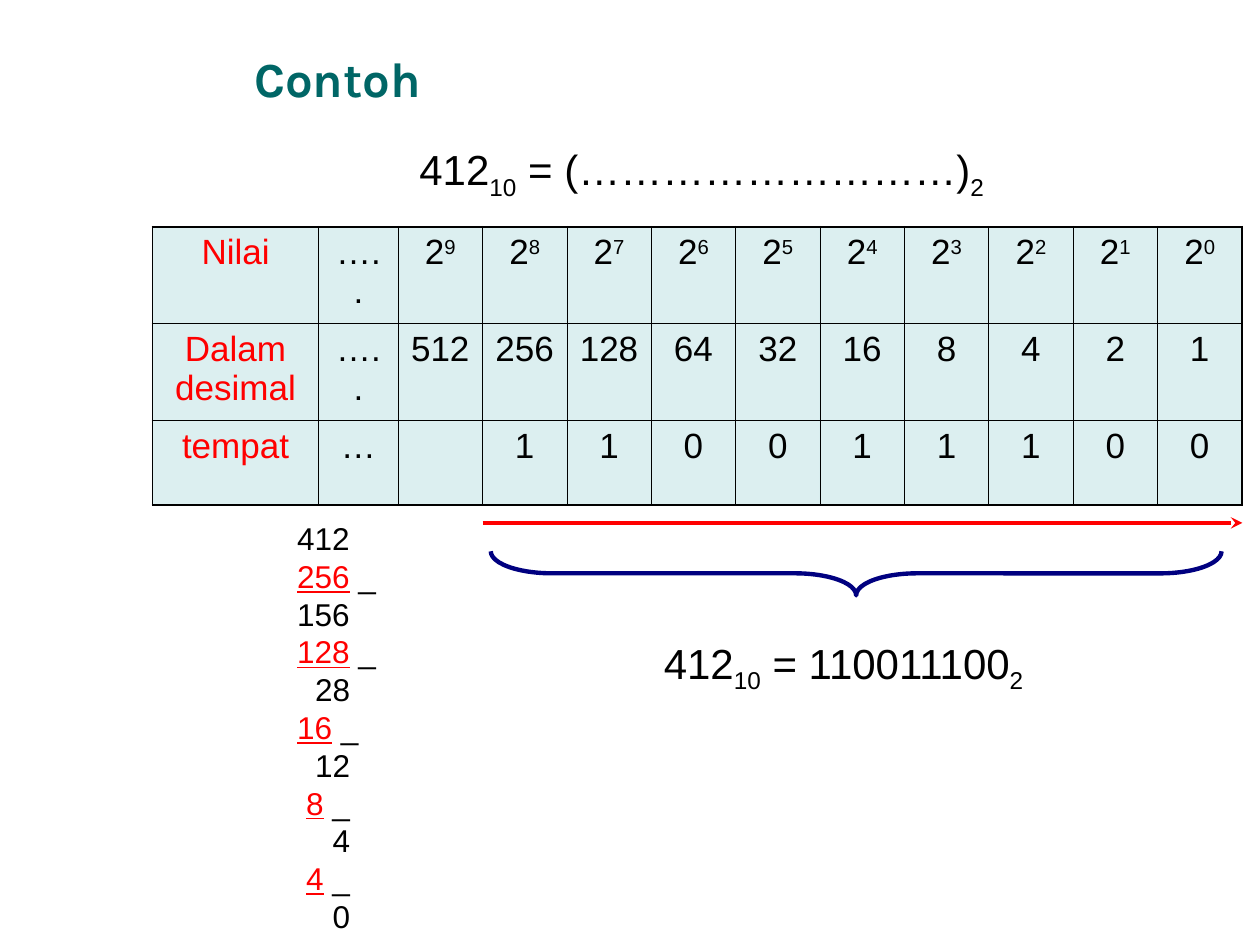
from lxml.etree import SubElement
from pptx import Presentation
from pptx.dml.color import RGBColor
from pptx.enum.shapes import MSO_CONNECTOR as Connector, MSO_SHAPE as Shape
from pptx.enum.text import MSO_ANCHOR as Anchor, PP_ALIGN as Align
from pptx.oxml import parse_xml
from pptx.oxml.ns import nsdecls, qn
from pptx.util import Inches, Pt

BLACK, RED, TEAL, NAVY, PALE = "000000", "FF0000", "006666", "000080", "BBE0E3"
SUPER, SUB = 30, -25

TITLE = "Contoh"
QUESTION = [("412", 0), ("10", SUB), (" = (………………………)", 0), ("2", SUB)]
ANSWER = [("412", 0), ("10", SUB), (" = 110011100", 0), ("2", SUB)]
POWERS = range(9, -1, -1)
ROWS = [
    [[("Nilai", 0)], [("…..", 0)]] + [[("2", 0), (str(power), SUPER)] for power in POWERS],
    [[("Dalam desimal", 0)], [("…..", 0)]] + [[(str(2 ** power), 0)] for power in POWERS],
    [[("tempat", 0)], [("…", 0)], []] + [[(digit, 0)] for digit in "110011100"],
]
REMAINDERS = ["412", "156", "28", "12", "4", "0"]
SUBTRACTED = ["256", "128", "16", "8", "4"]

COLUMN_WIDTHS = [1.32, 0.63] + [0.67] * len(POWERS)
ROW_HEIGHTS = [0.67, 0.77, 0.67]
TABLE_LEFT, TABLE_TOP = 1.21, 1.8
TABLE_RIGHT = TABLE_LEFT + sum(COLUMN_WIDTHS)
BITS_LEFT = TABLE_LEFT + sum(COLUMN_WIDTHS[:3])
ARROW_Y = 4.15
THIN, THICK = 0.45, 1.08

presentation = Presentation()
presentation.slide_width, presentation.slide_height = Inches(10), Inches(7.5)
slide = presentation.slides.add_slide(presentation.slide_layouts[6])


def rgb(value):
    return RGBColor.from_string(value)


def add_run(paragraph, text, size, color=BLACK, baseline=0, **formats):
    run = paragraph.add_run()
    run.text = text
    values = {"name": "Arial", "size": Pt(size), **formats}
    for name, value in values.items():
        setattr(run.font, name, value)
    run.font.color.rgb = rgb(color)
    if baseline:
        run._r.get_or_add_rPr().set("baseline", str(baseline * 1000))


def add_box(left, top, width, height):
    frame = slide.shapes.add_textbox(*map(Inches, (left, top, width, height))).text_frame
    frame.word_wrap = True
    return frame


def add_formula(left, top, width, parts):
    paragraph = add_box(left, top, width, 0.47).paragraphs[0]
    for text, baseline in parts:
        add_run(paragraph, text, 24, baseline=baseline)


def style_cell(cell, row, column):
    cell.fill.solid()
    cell.fill.fore_color.rgb = rgb(PALE)
    properties = cell._tc.get_or_add_tcPr()
    color = properties.find(".//" + qn("a:srgbClr"))
    SubElement(color, qn("a:alpha")).set("val", "50000")
    outer = {
        "lnL": column == 0,
        "lnR": column == len(COLUMN_WIDTHS) - 1,
        "lnT": row == 0,
        "lnB": row == len(ROWS) - 1,
    }
    for index, (side, is_outer) in enumerate(outer.items()):
        width = Pt(THICK if is_outer else THIN)
        properties.insert(index, parse_xml(
            f'<a:{side} {nsdecls("a")} w="{width}"><a:solidFill>'
            f'<a:srgbClr val="{BLACK}"/></a:solidFill></a:{side}>'))


def add_place_table():
    table = slide.shapes.add_table(
        len(ROWS), len(COLUMN_WIDTHS), Inches(TABLE_LEFT), Inches(TABLE_TOP),
        Inches(sum(COLUMN_WIDTHS)), Inches(sum(ROW_HEIGHTS))).table
    table.first_row = table.horz_banding = False
    for column, width in zip(table.columns, COLUMN_WIDTHS):
        column.width = Inches(width)
    for row, height in zip(table.rows, ROW_HEIGHTS):
        row.height = Inches(height)
    for row, contents in enumerate(ROWS):
        for column, parts in enumerate(contents):
            cell = table.cell(row, column)
            style_cell(cell, row, column)
            paragraph = cell.text_frame.paragraphs[0]
            paragraph.alignment = Align.CENTER
            for text, baseline in parts:
                add_run(paragraph, text, 20, BLACK if column else RED, baseline)


def add_subtraction():
    frame = add_box(2.26, 4.07, 0.93, 3.23)
    lines = [(REMAINDERS[0], False)]
    for number, remainder in zip(SUBTRACTED, REMAINDERS[1:]):
        lines += [(number, True), (remainder, False)]
    for index, (number, subtracted) in enumerate(lines):
        paragraph = frame.add_paragraph() if index else frame.paragraphs[0]
        tabs = SubElement(paragraph._p.get_or_add_pPr(), qn("a:tabLst"))
        tab = SubElement(tabs, qn("a:tab"))
        tab.set("pos", str(Inches(0.42)))
        tab.set("algn", "r")
        text = number if len(number) == 3 else "\t" + number
        add_run(paragraph, text, 18, RED if subtracted else BLACK, underline=subtracted)
        if subtracted:
            add_run(paragraph, " _", 18)


def add_arrow():
    arrow = slide.shapes.add_connector(
        Connector.STRAIGHT, Inches(BITS_LEFT), Inches(ARROW_Y), Inches(TABLE_RIGHT), Inches(ARROW_Y))
    arrow.line.color.rgb = rgb(RED)
    arrow.line.width = Pt(2.25)
    SubElement(arrow.line._get_or_add_ln(), qn("a:tailEnd")).set("type", "stealth")
    SubElement(arrow._element.spPr, qn("a:effectLst"))


def add_brace():
    brace = slide.shapes.add_shape(Shape.RIGHT_BRACE, *map(Inches, (6.62, 1.65, 0.35, 5.8)))
    brace.rotation = 90
    brace.adjustments[0] = 1.38
    brace.shadow.inherit = False
    brace.fill.background()
    brace.line.color.rgb = rgb(NAVY)
    brace.line.width = Pt(2.5)


title_frame = add_box(1.92, 0.33, 7.67, 0.58)
title_frame.vertical_anchor = Anchor.MIDDLE
add_run(title_frame.paragraphs[0], TITLE, 28, TEAL, name="Karla", bold=True)
add_place_table()
add_formula(3.23, 1.09, 4.8, QUESTION)
add_subtraction()
add_arrow()
add_formula(5.17, 5.01, 3.24, ANSWER)
add_brace()
presentation.save("out.pptx")
